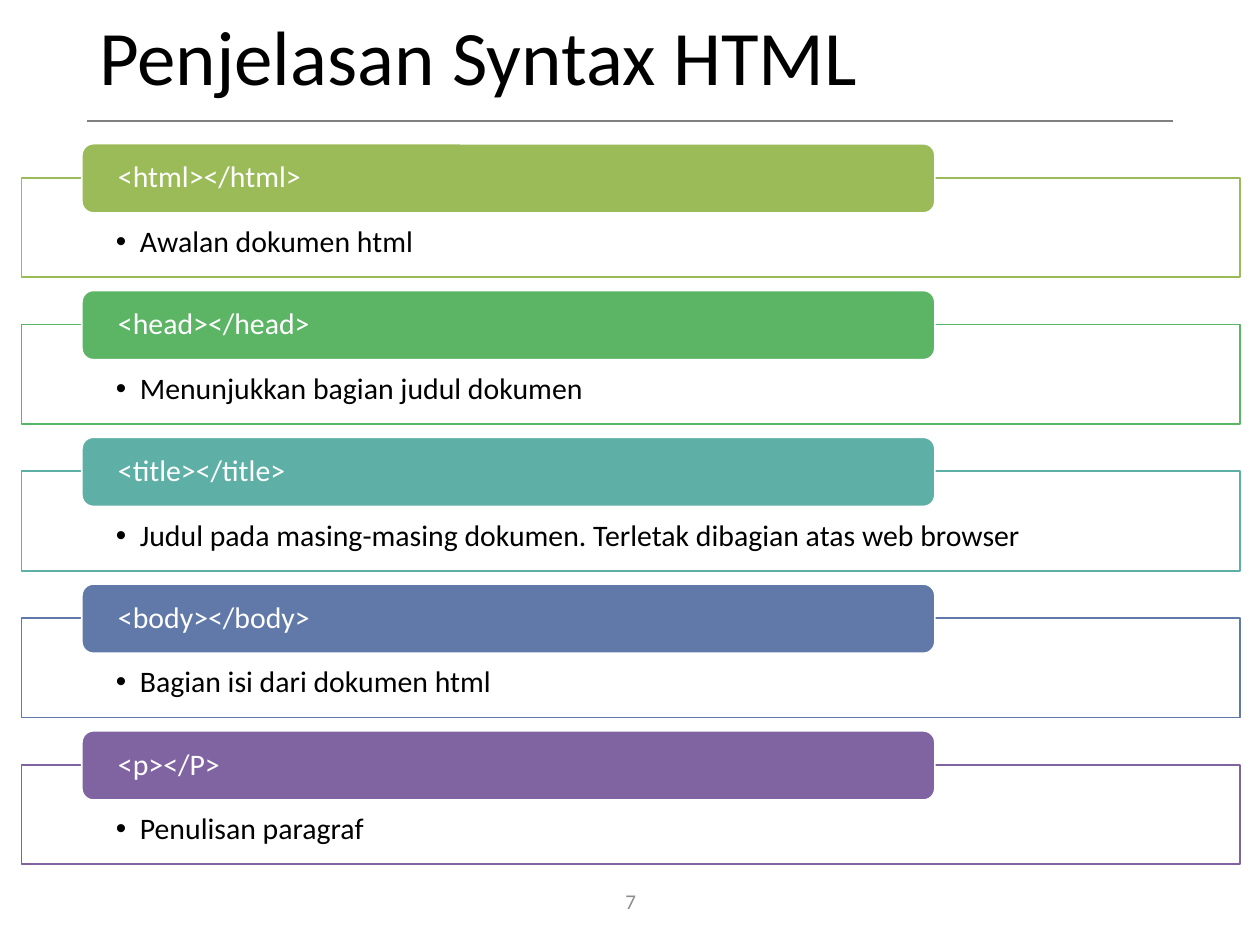
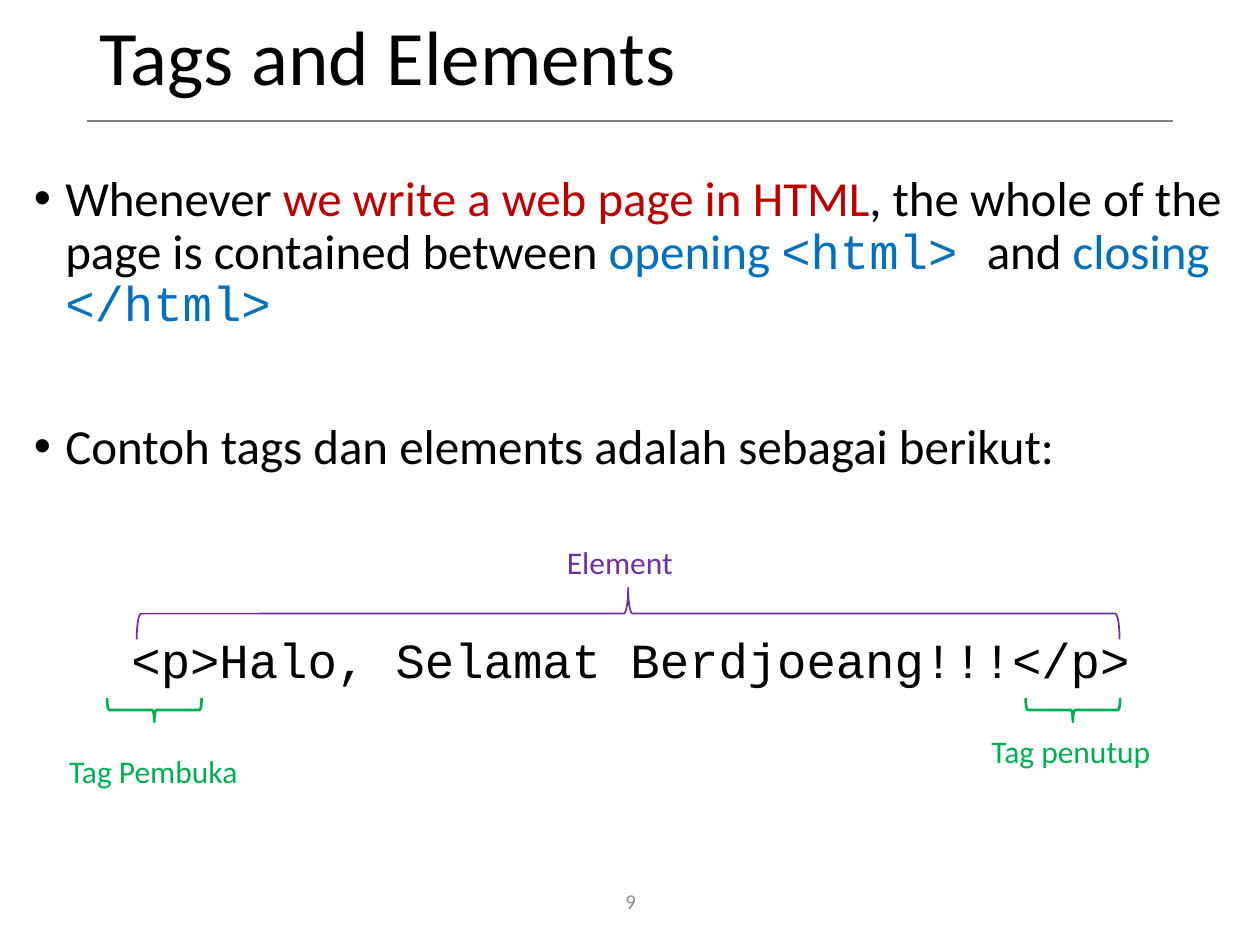
from dataclasses import dataclass

from lxml.etree import SubElement
from pptx import Presentation
from pptx.dml.color import RGBColor
from pptx.enum.shapes import MSO_CONNECTOR, MSO_SHAPE
from pptx.enum.text import MSO_ANCHOR, PP_ALIGN
from pptx.oxml.ns import qn
from pptx.util import Inches, Pt


@dataclass(frozen=True)
class Theme:
    font: str = "Calibri"
    code_font: str = "Courier New"
    black: str = "000000"
    white: str = "FFFFFF"
    rule: str = "808080"
    number: str = "8C8C8C"
    red: str = "C00000"
    blue: str = "0070C0"
    green: str = "00B050"
    purple: str = "7030A0"
    title_size: int = 44
    body_size: int = 28
    label_size: int = 18
    tag_size: int = 17
    number_size: int = 12
    line_spacing: float = 0.9


theme = Theme()

TAGS = [
    ("<html></html>", "Awalan dokumen html", "9BBB59"),
    ("<head></head>", "Menunjukkan bagian judul dokumen", "5CB565"),
    ("<title></title>", "Judul pada masing-masing dokumen. Terletak dibagian atas web browser", "5EAFA6"),
    ("<body></body>", "Bagian isi dari dokumen html", "6179A8"),
    ("<p></P>", "Penulisan paragraf", "8064A2"),
]

INTRODUCTION = [
    ("Whenever ", theme.black, theme.font),
    ("we write a web page in HTML", theme.red, theme.font),
    (", the whole of the page is contained between ", theme.black, theme.font),
    ("opening ", theme.blue, theme.font),
    ("<html> ", theme.blue, theme.code_font),
    ("and ", theme.black, theme.font),
    ("closing ", theme.blue, theme.font),
    ("</html>", theme.blue, theme.code_font),
]
EXAMPLE_LEAD = [("Contoh tags dan elements adalah sebagai berikut:", theme.black, theme.font)]
EXAMPLE = [("<p>Halo, Selamat Berdjoeang!!!</p>", theme.black, theme.code_font)]

BODY = [
    (INTRODUCTION, 10, True),
    (EXAMPLE_LEAD, 51, True),
    (EXAMPLE, 92, False),
]

BRACES = [
    ((1.13, 5.26, 0.19, 0.75), 270, theme.green, 1.5),
    ((8.42, 5.26, 0.19, 0.75), 270, theme.green, 1.5),
    ((4.78, 0.97, 0.41, 7.8), 90, theme.purple, 1),
]
LABELS = [
    ("Tag Pembuka", (0.45, 5.92, 1.55, 0.4), theme.green),
    ("Tag penutup", (7.77, 5.76, 1.48, 0.4), theme.green),
    ("Element", (4.4, 4.26, 1.05, 0.4), theme.purple),
]


def color(value):
    return RGBColor.from_string(value)


def inches(values):
    return [Inches(value) for value in values]


def add_span(para, text, size, shade, font=theme.font):
    span = para.add_run()
    span.text = text
    span.font.size = Pt(size)
    span.font.name = font
    span.font.color.rgb = color(shade)


def set_bullet(para, indent):
    properties = para._p.get_or_add_pPr()
    properties.set("marL", str(Inches(indent)))
    properties.set("indent", str(-Inches(indent)))
    SubElement(properties, qn("a:buFont")).set("typeface", "Arial")
    SubElement(properties, qn("a:buChar")).set("char", "•")


def set_frame(box, anchor, margins=(0.1, 0.05, 0.1, 0.05), wrap=True):
    frame = box.text_frame
    frame.word_wrap = wrap
    frame.vertical_anchor = anchor
    (frame.margin_left, frame.margin_top,
     frame.margin_right, frame.margin_bottom) = inches(margins)
    return frame.paragraphs[0]


def add_text(page, place, text, size, shade, anchor=MSO_ANCHOR.TOP, wrap=True):
    para = set_frame(page.shapes.add_textbox(*inches(place)), anchor, wrap=wrap)
    add_span(para, text, size, shade)
    return para


def add_box(page, kind, place, line, fill=None, width=1):
    box = page.shapes.add_shape(kind, *inches(place))
    box.shadow.inherit = False
    if fill:
        box.fill.solid()
        box.fill.fore_color.rgb = color(fill)
    else:
        box.fill.background()
    box.line.color.rgb = color(line)
    box.line.width = Pt(width)
    return box


def add_page(deck, title, number):
    page = deck.slides.add_slide(deck.slide_layouts[6])
    para = add_text(page, (3.88, 6.95, 2.25, 0.4), number,
                    theme.number_size, theme.number, MSO_ANCHOR.MIDDLE)
    para.alignment = PP_ALIGN.CENTER
    rule = page.shapes.add_connector(MSO_CONNECTOR.STRAIGHT, *inches((0.69, 0.96, 9.31, 0.96)))
    rule.line.color.rgb = color(theme.rule)
    rule.line.width = Pt(1)
    SubElement(rule._element.spPr, qn("a:effectLst"))
    para = add_text(page, (0.69, 0.09, 8.62, 0.78), title,
                    theme.title_size, theme.black, MSO_ANCHOR.MIDDLE)
    para.line_spacing = theme.line_spacing
    return page


def add_tag_list(page):
    first_top, last_top = 1.14, 5.8
    pitch = (last_top - first_top) / (len(TAGS) - 1)
    for index, (tag, meaning, shade) in enumerate(TAGS):
        top = first_top + index * pitch
        panel = add_box(page, MSO_SHAPE.RECTANGLE, (0.17, top + 0.27, 9.67, 0.79), shade, theme.white)
        header = add_box(page, MSO_SHAPE.ROUNDED_RECTANGLE, (0.65, top, 6.77, 0.55), theme.white, shade)
        meaning_para = set_frame(panel, MSO_ANCHOR.TOP, (0.75, 0.39, 0.75, 0.13))
        tag_para = set_frame(header, MSO_ANCHOR.MIDDLE, (0.26, 0, 0.26, 0))
        for para, text, ink in ((meaning_para, meaning, theme.black), (tag_para, tag, theme.white)):
            para.alignment = PP_ALIGN.LEFT
            para.line_spacing = theme.line_spacing
            add_span(para, text, theme.tag_size, ink)
        set_bullet(meaning_para, 0.19)


def add_body(page):
    box = page.shapes.add_textbox(*inches((0.17, 1.33, 9.67, 4.76)))
    para = set_frame(box, MSO_ANCHOR.TOP)
    for index, (spans, space_before, bulleted) in enumerate(BODY):
        if index:
            para = box.text_frame.add_paragraph()
        para.line_spacing = theme.line_spacing
        para.space_before = Pt(space_before)
        if bulleted:
            set_bullet(para, 0.25)
        else:
            para.alignment = PP_ALIGN.CENTER
        for text, shade, font in spans:
            add_span(para, text, theme.body_size, shade, font)


def add_annotations(page):
    for place, rotation, shade, width in BRACES:
        brace = add_box(page, MSO_SHAPE.LEFT_BRACE, place, shade, width=width)
        brace.rotation = rotation
    for text, place, shade in LABELS:
        add_text(page, place, text, theme.label_size, shade, wrap=False)


def main():
    deck = Presentation()
    deck.slide_width, deck.slide_height = Inches(10), Inches(7.5)
    add_tag_list(add_page(deck, "Penjelasan Syntax HTML", "7"))
    page = add_page(deck, "Tags and Elements", "9")
    add_body(page)
    add_annotations(page)
    deck.save("out.pptx")


if __name__ == "__main__":
    main()
